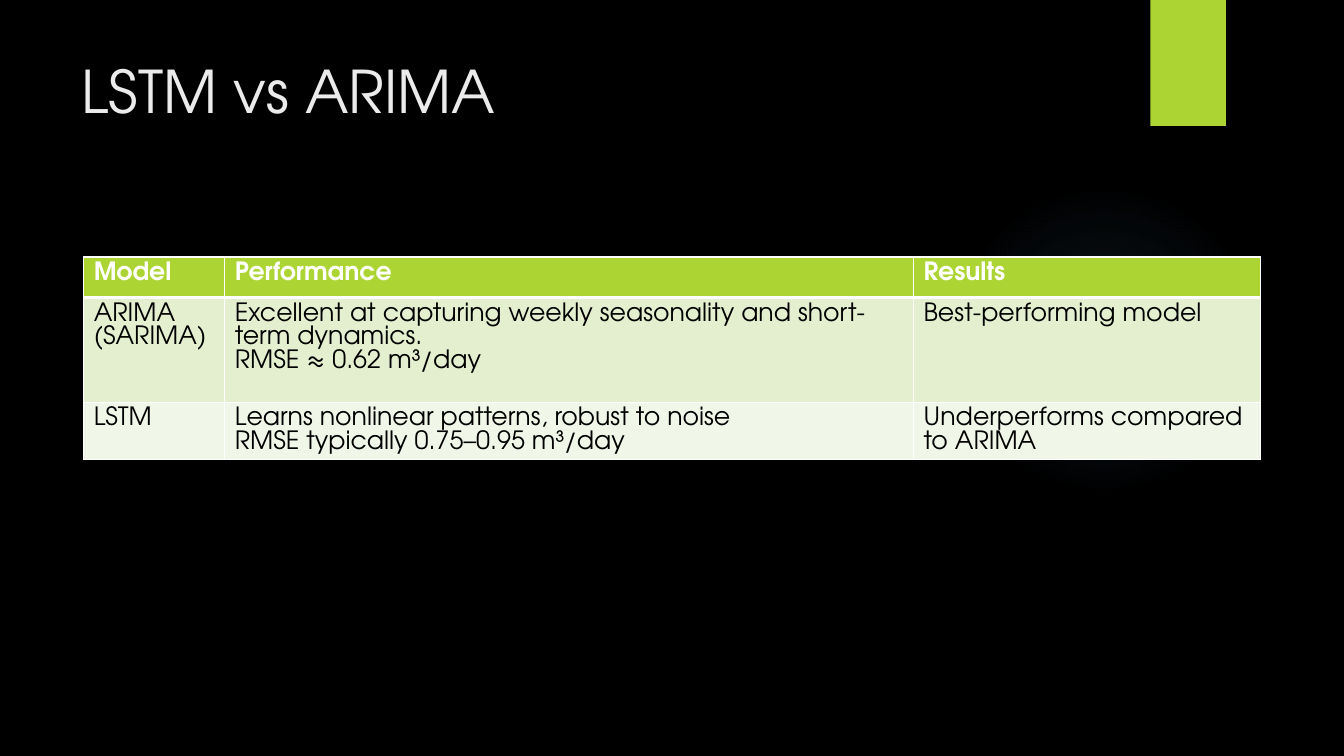
from lxml import etree
from pptx import Presentation
from pptx.dml.color import RGBColor
from pptx.enum.shapes import MSO_SHAPE
from pptx.enum.text import MSO_ANCHOR, PP_ALIGN
from pptx.oxml import parse_xml
from pptx.oxml.ns import nsdecls, qn
from pptx.util import Inches, Pt

FONT = "TeX Gyre Adventor"
BLACK = RGBColor(0x00, 0x00, 0x00)
WHITE = RGBColor(0xFF, 0xFF, 0xFF)
TITLE_GRAY = RGBColor(0xEB, 0xEB, 0xEB)
LIME = RGBColor(0xAC, 0xD4, 0x33)
BAND_DARK = RGBColor(0xE3, 0xEF, 0xCE)
BAND_LIGHT = RGBColor(0xF1, 0xF7, 0xE8)
GLOW = RGBColor(0x7A, 0xC4, 0xF0)

HEADER = {"size": Pt(18), "name": FONT, "bold": True}
BODY = {"size": Pt(18), "name": FONT, "bold": False}
TITLE = {"size": Pt(42), "name": FONT, "bold": False}

COLUMN_WIDTHS = [1.4, 6.83, 3.44]
# Height, fill, text colour, font and cell texts of each row
ROWS = [
    (0.4, LIME, WHITE, HEADER, ["Model", "Performance", "Results"]),
    (1.04, BAND_DARK, BLACK, BODY, [
        "ARIMA (SARIMA)",
        "Excellent at capturing weekly seasonality and short-term dynamics.\n"
        "RMSE ≈ 0.62 m³/day",
        "Best-performing model"]),
    (0.57, BAND_LIGHT, BLACK, BODY, [
        "LSTM",
        "Learns nonlinear patterns, robust to noise\n"
        "RMSE typically 0.75–0.95 m³/day",
        "Underperforms compared to ARIMA"]),
]


def write_text(tf, text, font, color):
    tf.text = text
    for p in tf.paragraphs:
        p.alignment = PP_ALIGN.LEFT
        p.line_spacing = 1.0
        for r in p.runs:
            for name, value in font.items():
                setattr(r.font, name, value)
            r.font.color.rgb = color


def add_plain_shape(s, kind, left, top, width, height, color):
    sp = s.shapes.add_shape(kind, Inches(left), Inches(top),
                            Inches(width), Inches(height))
    sp.shadow.inherit = False
    sp.fill.solid()
    sp.fill.fore_color.rgb = color
    sp.line.fill.background()
    return sp


def fade_out(sp, color, stops):
    """Swap the solid fill for a radial fade of (position, opacity) percents."""
    gs = "".join(
        f'<a:gs pos="{pos * 1000}"><a:srgbClr val="{color}">'
        f'<a:alpha val="{alpha * 1000}"/></a:srgbClr></a:gs>'
        for pos, alpha in stops)
    grad = parse_xml(
        f'<a:gradFill {nsdecls("a")}><a:gsLst>{gs}</a:gsLst><a:path path="circle">'
        '<a:fillToRect l="50000" t="50000" r="50000" b="50000"/></a:path></a:gradFill>')
    solid = sp.fill._xPr.find(qn("a:solidFill"))
    solid.getparent().replace(solid, grad)


def set_borders(cell, widths):
    tcPr = cell._tc.get_or_add_tcPr()
    for i, (side, width) in enumerate(widths.items()):
        ln = etree.Element(qn(f"a:{side}"), w=str(Pt(width)))
        fill = etree.SubElement(ln, qn("a:solidFill"))
        etree.SubElement(fill, qn("a:srgbClr"), val=str(WHITE))
        tcPr.insert(i, ln)


def add_comparison(s):
    shape = s.shapes.add_table(len(ROWS), len(COLUMN_WIDTHS), Inches(0.83), Inches(2.55),
                               Inches(sum(COLUMN_WIDTHS)),
                               Inches(sum(row[0] for row in ROWS)))
    table = shape.table
    for column, width in zip(table.columns, COLUMN_WIDTHS):
        column.width = Inches(width)
    for i, (height, fill, color, font, texts) in enumerate(ROWS):
        table.rows[i].height = Inches(height)
        for cell, text in zip(table.rows[i].cells, texts):
            cell.fill.solid()
            cell.fill.fore_color.rgb = fill
            cell.vertical_anchor = MSO_ANCHOR.TOP
            write_text(cell.text_frame, text, font, color)
            set_borders(cell, {"lnL": 1, "lnR": 1, "lnT": 3 if i == 1 else 1,
                               "lnB": 3 if i == 0 else 1})


def add_title(s, text):
    title = s.shapes.title
    title.left, title.top = Inches(0.71), Inches(0.49)
    title.width, title.height = Inches(10.29), Inches(1.53)
    title.text_frame.vertical_anchor = MSO_ANCHOR.TOP
    write_text(title.text_frame, text, TITLE, TITLE_GRAY)


def main():
    prs = Presentation()
    prs.slide_width, prs.slide_height = Inches(13.33), Inches(7.5)
    s = prs.slides.add_slide(prs.slide_layouts[5])
    s.background.fill.solid()
    s.background.fill.fore_color.rgb = BLACK

    # Background glow and corner tab
    glow = add_plain_shape(s, MSO_SHAPE.OVAL, 9.41, 1.83, 3.08, 3.08, GLOW)
    fade_out(glow, GLOW, [(0, 7), (36, 6), (69, 0)])
    add_plain_shape(s, MSO_SHAPE.RECTANGLE, 11.41, 0, 0.75, 1.25, LIME)

    # Title and model comparison
    add_title(s, "LSTM vs ARIMA")
    add_comparison(s)
    prs.save("out.pptx")


if __name__ == "__main__":
    main()
